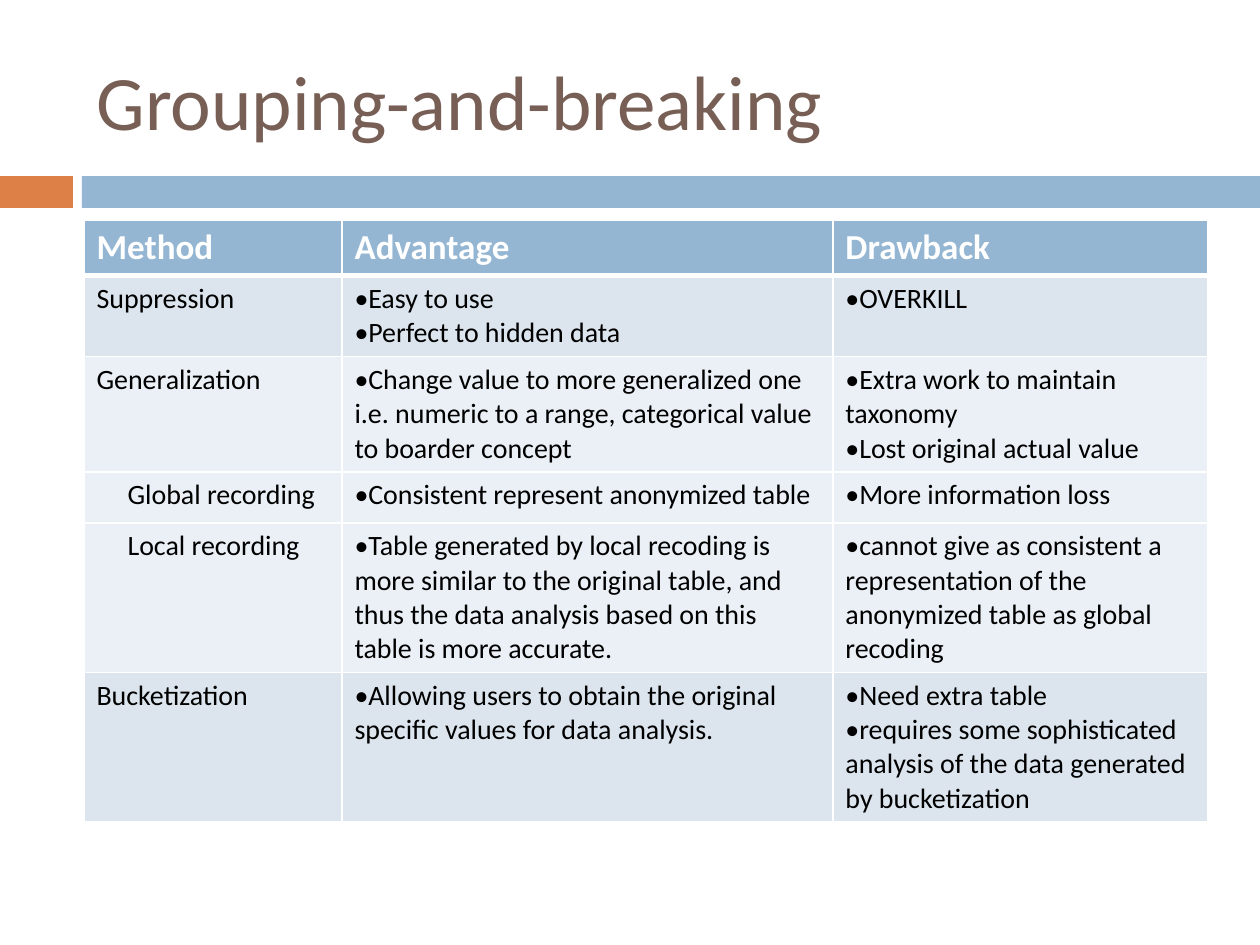
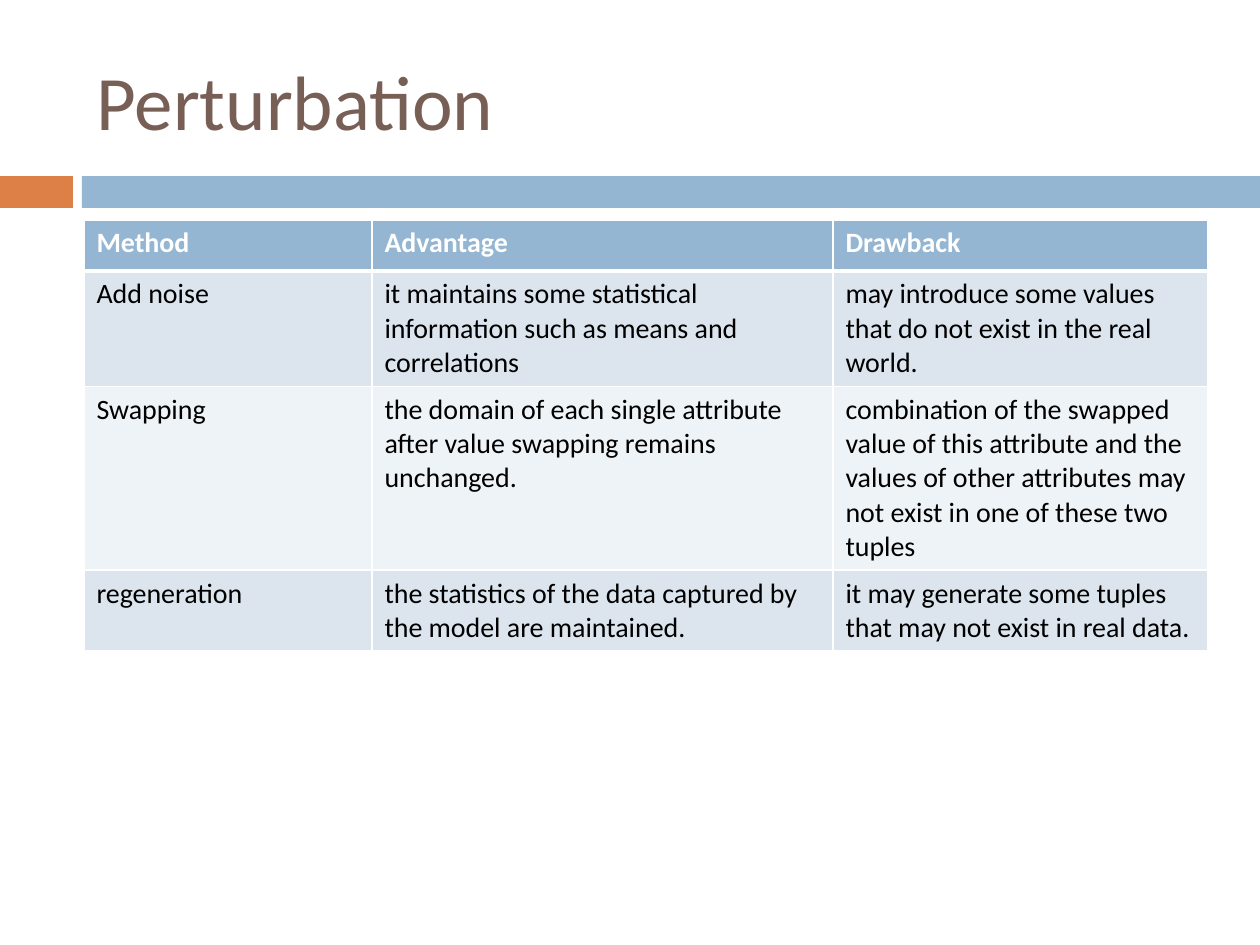
import pptx
import pptx.dml.color
import pptx.enum.shapes
import pptx.enum.text
import pptx.oxml
import pptx.oxml.ns
import pptx.util

PX = 914400 / 126
FONT = "Calibri"
COLORS = {
    "title": "775F55",
    "accent": "DD8047",
    "band": "94B6D2",
    "white": "FFFFFF",
    "text": "000000",
    "shaded": "DCE5EE",
    "light": "EAF0F6",
    "pale": "EEF3F7",
}
HEADINGS = ["Method", "Advantage", "Drawback"]
ROW_HEIGHT = 51
BODY_SIZE = 16
SUB_INDENT = 31

# Each row: fill, whether it is a sub-method, then the paragraphs of each cell
GROUPING_ROWS = [
    ("shaded", False, [
        ["Suppression"],
        ["Easy to use", "Perfect to hidden data"],
        ["OVERKILL"]]),
    ("light", False, [
        ["Generalization"],
        ["Change value to more generalized one i.e. numeric to a range, "
         "categorical value to boarder concept"],
        ["Extra work to maintain taxonomy", "Lost original actual value"]]),
    ("light", True, [
        ["Global recording"],
        ["Consistent represent anonymized table"],
        ["More information loss"]]),
    ("light", True, [
        ["Local recording"],
        ["Table generated by local recoding is more similar to the original "
         "table, and thus the data analysis based on this table is more accurate."],
        ["cannot give as consistent a representation of the anonymized table "
         "as global recoding"]]),
    ("shaded", False, [
        ["Bucketization"],
        ["Allowing users to obtain the original speciﬁc values for data analysis."],
        ["Need extra table",
         "requires some sophisticated analysis of the data generated by "
         "bucketization"]]),
]
PERTURBATION_ROWS = [
    ("shaded", False, [
        ["Add noise"],
        ["it maintains some statistical information such as means and correlations"],
        ["may introduce some values that do not exist in the real world."]]),
    ("pale", False, [
        ["Swapping"],
        ["the domain of each single attribute after value swapping remains "
         "unchanged."],
        ["combination of the swapped value of this attribute and the values of "
         "other attributes may not exist in one of these two tuples"]]),
    ("shaded", False, [
        ["regeneration"],
        ["the statistics of the data captured by the model are maintained."],
        ["it may generate some tuples that may not exist in real data."]]),
]


def px(length):
    return pptx.util.Emu(round(length * PX))


def rgb(name):
    return pptx.dml.color.RGBColor.from_string(COLORS[name])


def style_font(para, size, color, bold=False):
    para.font.name = FONT
    para.font.size = pptx.util.Pt(size)
    para.font.bold = bold
    para.font.color.rgb = rgb(color)


def add_band(page, left, width, color):
    band = page.shapes.add_shape(
        pptx.enum.shapes.MSO_SHAPE.RECTANGLE, px(left), px(176), px(width), px(32))
    band.shadow.inherit = False
    band.fill.solid()
    band.fill.fore_color.rgb = rgb(color)
    band.line.fill.background()
    return band


def prepare_layout(deck):
    """Give the Title Only layout its title position and no footers."""
    layout = deck.slide_layouts[5]
    for holder in list(layout.placeholders):
        if holder.placeholder_format.idx:
            layout.shapes.element.remove(holder.element)
    title = layout.placeholders[0]
    title.left, title.top, title.width, title.height = map(px, (84, 32, 1124, 136))
    return layout


def share_bands(layout, page):
    """Draw the bands on a page and move them to the layout behind all pages."""
    for left, width, color in ((0, 73, "accent"), (82, 1178, "band")):
        band = add_band(page, left, width, color)
        layout.shapes.element.append(band.element)


def set_title(page, text):
    title = page.shapes.title
    title.text_frame.text = text
    title.text_frame.vertical_anchor = pptx.enum.text.MSO_ANCHOR.MIDDLE
    para = title.text_frame.paragraphs[0]
    para.alignment = pptx.enum.text.PP_ALIGN.LEFT
    style_font(para, 44, "title")


def set_borders(cell, top, bottom):
    """Draw white cell borders, 1 pt at the sides, given points above and below."""
    properties = cell._tc.get_or_add_tcPr()
    for side, points in (("L", 1), ("R", 1), ("T", top), ("B", bottom)):
        properties.append(pptx.oxml.parse_xml(
            f'<a:ln{side} {pptx.oxml.ns.nsdecls("a")} w="{points * 12700}">'
            f'<a:solidFill><a:srgbClr val="{COLORS["white"]}"/></a:solidFill>'
            f'</a:ln{side}>'))


def add_bullet(para):
    properties = para._p.get_or_add_pPr()
    properties.set("marL", "0")
    properties.set("indent", "0")
    for tag in (f'buFont {pptx.oxml.ns.nsdecls("a")} typeface="{FONT}"',
                f'buChar {pptx.oxml.ns.nsdecls("a")} char="•"'):
        properties.insert_element_before(
            pptx.oxml.parse_xml(f"<a:{tag}/>"), "a:tabLst", "a:defRPr", "a:extLst")


def fill_cell(cell, lines, size, color, fill, bold=False, bullets=False, indent=0):
    cell.text_frame.text = "\n".join(lines)
    cell.fill.solid()
    cell.fill.fore_color.rgb = rgb(fill)
    for para in cell.text_frame.paragraphs:
        style_font(para, size, color, bold)
        if bullets:
            add_bullet(para)
        if indent:
            para._p.get_or_add_pPr().set("marL", str(px(indent)))


def add_method_table(page, widths, height, rows, heading_size, bullets):
    frame = page.shapes.add_table(
        len(rows) + 1, len(HEADINGS), px(84), px(220), px(sum(widths)),
        px(ROW_HEIGHT * (len(rows) + 1)))
    frame.height = px(height)
    table = frame.table
    table.horz_banding = False
    for column, width in zip(table.columns, widths):
        column.width = px(width)
    for index, row in enumerate(table.rows):
        for cell in row.cells:
            set_borders(cell, 3 if index == 1 else 1, 3 if index == 0 else 1)
    for cell, heading in zip(table.rows[0].cells, HEADINGS):
        fill_cell(cell, [heading], heading_size, "white", "band", bold=True)
    for index, (fill, is_sub, texts) in enumerate(rows, start=1):
        for column, lines in enumerate(texts):
            fill_cell(table.cell(index, column), lines, BODY_SIZE, "text", fill,
                      bullets=bullets and column > 0,
                      indent=SUB_INDENT if is_sub and column == 0 else 0)


def main():
    deck = pptx.Presentation()
    deck.slide_width, deck.slide_height = px(1260), px(945)
    layout = prepare_layout(deck)

    grouping = deck.slides.add_slide(layout)
    share_bands(layout, grouping)
    set_title(grouping, "Grouping-and-breaking")
    add_method_table(grouping, (258, 491, 375), 593, GROUPING_ROWS,
                     heading_size=20, bullets=True)

    perturbation = deck.slides.add_slide(layout)
    set_title(perturbation, "Perturbation")
    add_method_table(perturbation, (288, 461, 375), 392, PERTURBATION_ROWS,
                     heading_size=16, bullets=False)

    deck.save("out.pptx")


if __name__ == "__main__":
    main()
